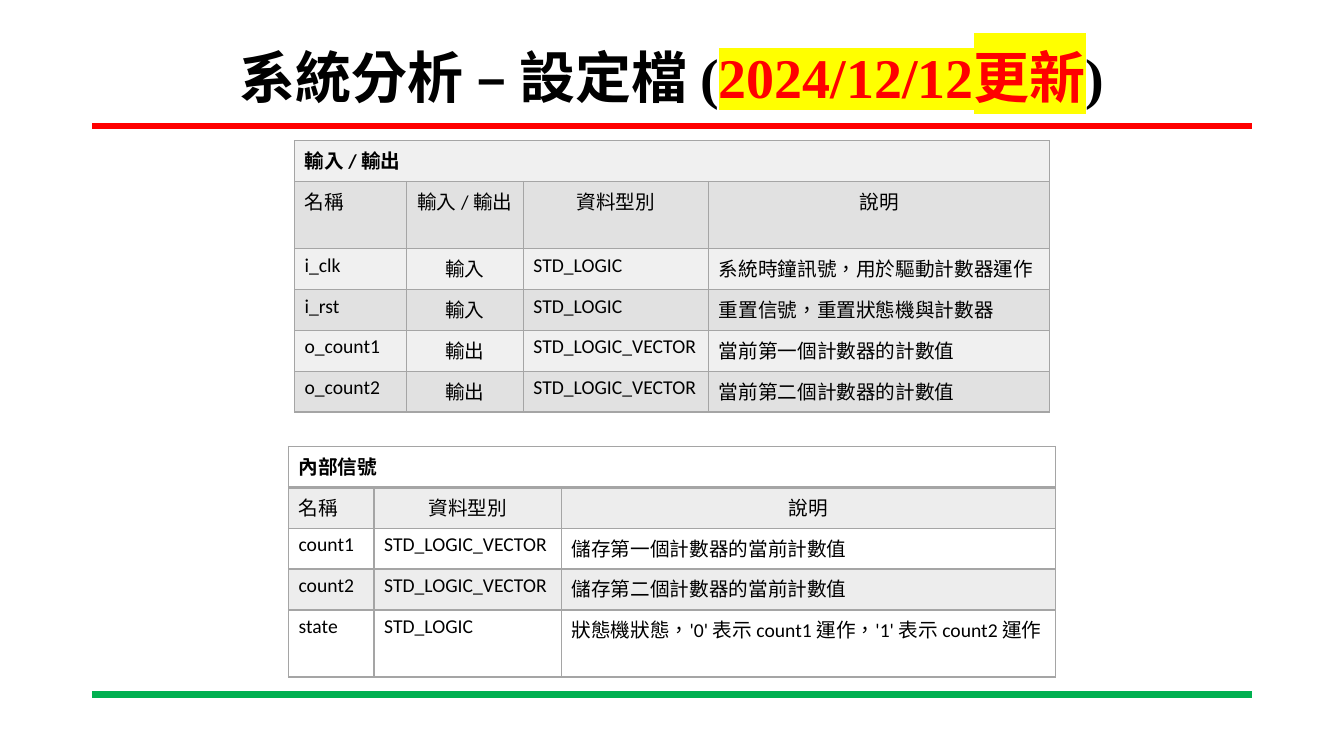
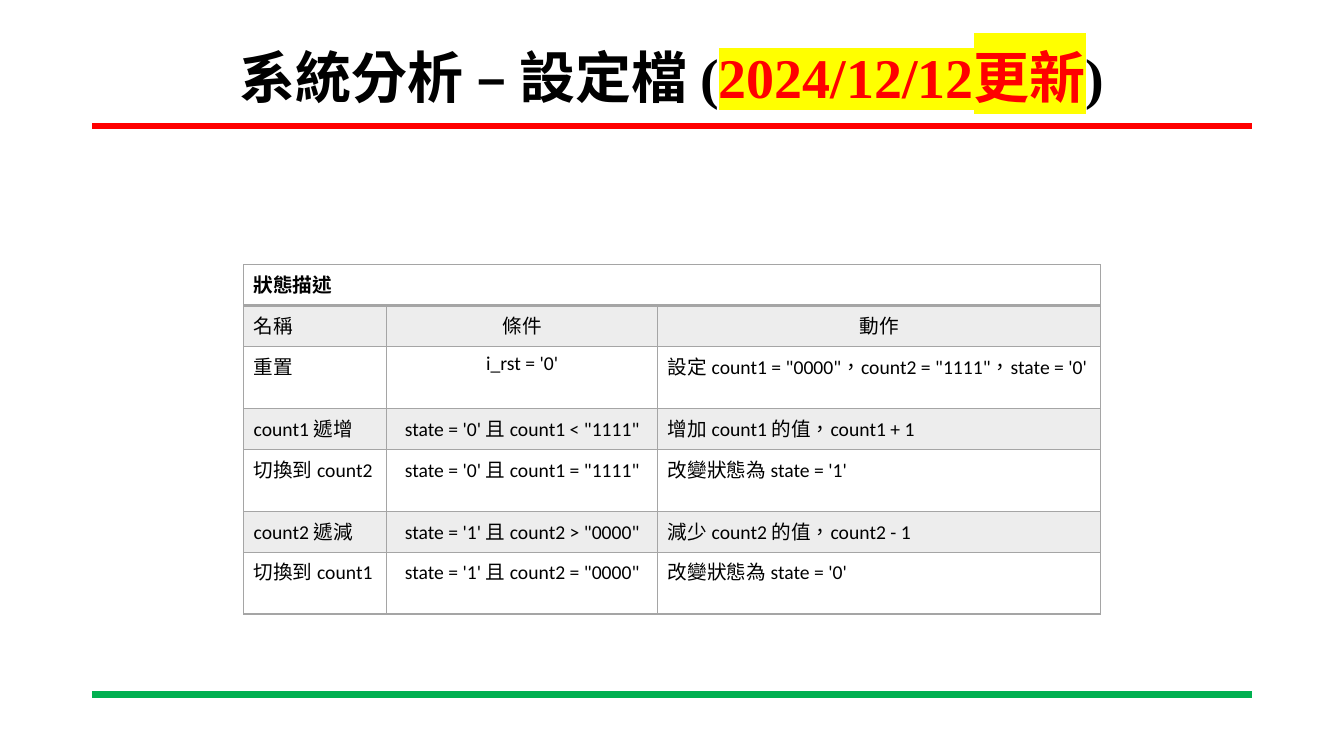
from lxml.etree import SubElement
from pptx import Presentation
from pptx.dml.color import RGBColor
from pptx.enum.shapes import MSO_CONNECTOR as Connector
from pptx.enum.text import MSO_ANCHOR as Anchor, PP_ALIGN as Align
from pptx.oxml import parse_xml
from pptx.oxml.ns import nsdecls, qn
from pptx.util import Inches, Pt

BLACK, RED, GREEN, YELLOW = "000000", "FF0000", "00B050", "FFFF00"
WHITE, BORDER, BAND = "FFFFFF", "A5A5A5", "EDEDED"
LIGHT, DARK = "F0F0F0", "E1E1E1"
LANGUAGE = "zh-TW"
ALIGNMENTS = {"l": Align.LEFT, "c": Align.CENTER}
ONE_LINE, LATIN_WRAP, CHINESE_WRAP = 5.41, 8.2, 8.87

deck = Presentation()
deck.slide_width, deck.slide_height = Inches(13.33), Inches(7.5)
percent_x, percent_y = deck.slide_width / 100, deck.slide_height / 100
left, right = int(6.88 * percent_x), int(93.13 * percent_x)

rules = [(16.67, RED), (91.87, GREEN)]
title_parts = [("系統分析 – 設定檔 (", BLACK, None), ("2024/12/12更新", RED, YELLOW), (")", BLACK, None)]

ports = {
    "top": 18.6, "widths": [8.33, 8.7, 13.8, 25.35], "aligns": "lcll",
    "fills": (LIGHT, DARK), "title_rule": 1, "wraps": {1: CHINESE_WRAP},
    "title": "輸入 / 輸出",
    "rows": [
        ["名稱", "輸入 / 輸出", "資料型別", "說明"],
        ["i_clk", "輸入", "STD_LOGIC", "系統時鐘訊號，用於驅動計數器運作"],
        ["i_rst", "輸入", "STD_LOGIC", "重置信號，重置狀態機與計數器"],
        ["o_count1", "輸出", "STD_LOGIC_VECTOR", "當前第一個計數器的計數值"],
        ["o_count2", "輸出", "STD_LOGIC_VECTOR", "當前第二個計數器的計數值"],
    ],
}
signals = {
    "top": 59.05, "widths": [6.37, 13.95, 36.75], "aligns": "lll",
    "fills": (WHITE, BAND), "title_rule": 2, "wraps": {4: CHINESE_WRAP},
    "title": "內部信號",
    "rows": [
        ["名稱", "資料型別", "說明"],
        ["count1", "STD_LOGIC_VECTOR", "儲存第一個計數器的當前計數值"],
        ["count2", "STD_LOGIC_VECTOR", "儲存第二個計數器的當前計數值"],
        ["state", "STD_LOGIC", "狀態機狀態，'0' 表示 count1 運作，'1' 表示 count2 運作"],
    ],
}
states = {
    "top": 35, "widths": [10.65, 20.17, 32.93], "aligns": "lcl",
    "fills": (WHITE, BAND), "title_rule": 2,
    "wraps": {2: LATIN_WRAP, 4: LATIN_WRAP, 6: LATIN_WRAP},
    "title": "狀態描述",
    "rows": [
        ["名稱", "條件", "動作"],
        ["重置", "i_rst = '0'", "設定 count1 = \"0000\"，count2 = \"1111\"，state = '0'"],
        ["count1 遞增", "state = '0' 且 count1 < \"1111\"", "增加 count1 的值，count1 + 1"],
        ["切換到 count2", "state = '0' 且 count1 = \"1111\"", "改變狀態為 state = '1'"],
        ["count2 遞減", "state = '1' 且 count2 > \"0000\"", "減少 count2 的值，count2 - 1"],
        ["切換到 count1", "state = '1' 且 count2 = \"0000\"", "改變狀態為 state = '0'"],
    ],
}


def paint(color_format, color):
    color_format.rgb = RGBColor.from_string(color)


def style_cell(cell, fill, top_rule, bottom_rule):
    cell.fill.solid()
    paint(cell.fill.fore_color, fill)
    properties = cell._tc.get_or_add_tcPr()
    edges = [("lnL", 1), ("lnR", 1), ("lnT", top_rule), ("lnB", bottom_rule)]
    for position, (edge, width) in enumerate(edges):
        properties.insert(position, parse_xml(
            f'<a:{edge} {nsdecls("a")} w="{Pt(width)}"><a:solidFill>'
            f'<a:srgbClr val="{BORDER}"/></a:solidFill></a:{edge}>'))


for sections in ([ports, signals], [states]):
    slide = deck.slides.add_slide(deck.slide_layouts[6])

    for height, color in rules:
        y = int(height * percent_y)
        rule = slide.shapes.add_connector(Connector.STRAIGHT, left, y, right, y)
        rule.line.width = Pt(4.5)
        paint(rule.line.color, color)
        SubElement(rule._element.spPr, qn("a:effectLst"))

    heading = slide.shapes.add_textbox(
        left, int(5.33 * percent_y), right - left, int(10.53 * percent_y)).text_frame
    heading.word_wrap = True
    heading.vertical_anchor = Anchor.MIDDLE
    headline = heading.paragraphs[0]
    headline.alignment = Align.CENTER
    headline.line_spacing = 0.9
    headline.font.name, headline.font.size, headline.font.bold = "Times New Roman", Pt(40), True
    for text, color, highlight in title_parts:
        part = headline.add_run()
        part.text = text
        part.font._element.set("lang", LANGUAGE)
        paint(part.font.color, color)
        if highlight:
            marker = SubElement(part.font._element, qn("a:highlight"))
            SubElement(marker, qn("a:srgbClr"), val=highlight)

    for section in sections:
        rows = [[section["title"]] + [""] * (len(section["widths"]) - 1)] + section["rows"]
        widths = [int(share * percent_x) for share in section["widths"]]
        heights = [int(section["wraps"].get(r, ONE_LINE) * percent_y) for r in range(len(rows))]
        grid = slide.shapes.add_table(
            len(rows), len(widths), (deck.slide_width - sum(widths)) // 2,
            int(section["top"] * percent_y), sum(widths), sum(heights)).table
        grid.first_row = grid.horz_banding = False
        for column, width in zip(grid.columns, widths):
            column.width = width
        for r, texts in enumerate(rows):
            grid.rows[r].height = heights[r]
            aligns = "l" + "c" * (len(widths) - 1) if r == 1 else section["aligns"]
            for c, text in enumerate(texts):
                cell = grid.cell(r, c)
                style_cell(cell, section["fills"][r % 2],
                           section["title_rule"] if r == 1 else 1,
                           section["title_rule"] if r == 0 else 1)
                cell.text = text
                entry = cell.text_frame.paragraphs[0]
                entry.alignment = ALIGNMENTS[aligns[c]]
                entry.font.name, entry.font.size, entry.font.bold = "Calibri", Pt(14), r == 0
                paint(entry.font.color, BLACK)
                for run in entry.runs:
                    run.font._element.set("lang", LANGUAGE)
        grid.cell(0, 0).merge(grid.cell(0, len(widths) - 1))

deck.save("out.pptx")
